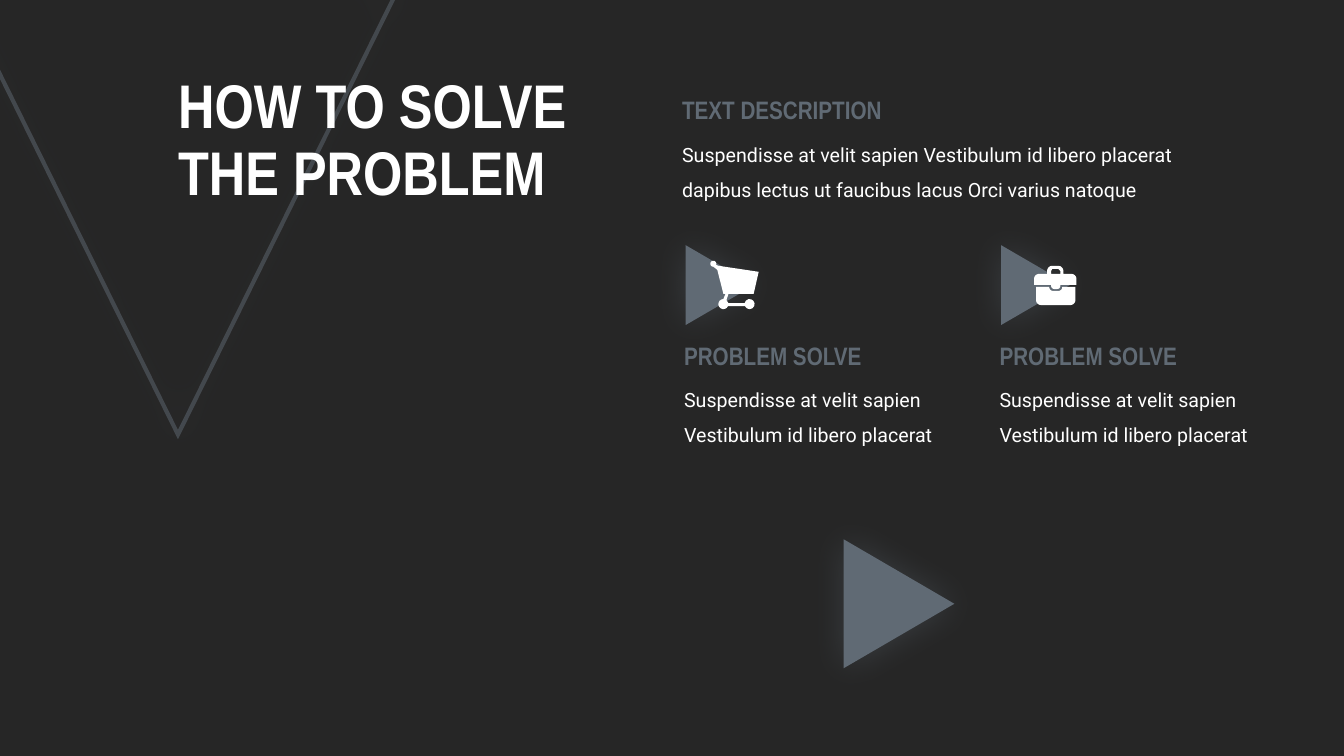
from dataclasses import dataclass
from math import cos, radians, sin

from lxml.etree import SubElement
from pptx import Presentation
from pptx.dml.color import RGBColor
from pptx.enum.shapes import MSO_SHAPE as Preset
from pptx.enum.text import MSO_ANCHOR as Anchor, MSO_AUTO_SIZE as AutoSize
from pptx.oxml.ns import qn
from pptx.util import Cm, Pt


@dataclass(frozen=True)
class Theme:
    """Colours, fonts and type sizes of the slide."""
    dark: RGBColor = RGBColor(0x26, 0x26, 0x26)
    slate: RGBColor = RGBColor(0x60, 0x6A, 0x74)
    white: RGBColor = RGBColor(0xFF, 0xFF, 0xFF)
    display: str = "Arial Narrow"
    text: str = "Roboto"
    title_size: Pt = Pt(44)
    heading_size: Pt = Pt(18)
    body_size: Pt = Pt(14)
    outline: Pt = Pt(3)
    glow: Pt = Pt(25)


THEME = Theme()
ICON_STEPS = 100
ICON_SCALE = Cm(2.54) / (100 * ICON_STEPS)


def add_text(slide, box, words, font_name, size, color, bold=False, spacing=1.0):
    """Write one paragraph in a wrapping text box and return its frame."""
    frame = slide.shapes.add_textbox(*box).text_frame
    frame.word_wrap = True
    paragraph = frame.paragraphs[0]
    paragraph.text = words
    paragraph.line_spacing = spacing
    font = paragraph.font
    font.name, font.size, font.bold = font_name, size, bold
    font.color.rgb = color
    return frame


def add_glow(shape):
    """Give the shape a soft, centred slate shadow."""
    shape.shadow.inherit = False
    effects = shape.element.spPr.find(qn("a:effectLst"))
    shadow = SubElement(effects, qn("a:outerShdw"), blurRad=str(THEME.glow), dist="0",
                        dir="0", algn="ctr", rotWithShape="0")
    tint = SubElement(shadow, qn("a:srgbClr"), val=str(THEME.slate))
    SubElement(tint, qn("a:alpha"), val="35000")


def draw_outline_triangle(slide, left, top, width, height):
    """Draw the large half-transparent triangle that points down."""
    triangle = slide.shapes.add_shape(Preset.ISOSCELES_TRIANGLE, left, top, width, height)
    triangle.rotation = 180
    triangle.fill.background()
    triangle.line.width = THEME.outline
    triangle.line.color.rgb = THEME.slate
    line = triangle.element.spPr.find(qn("a:ln"))
    SubElement(line.find(".//" + qn("a:srgbClr")), qn("a:alpha"), val="50000")
    SubElement(line, qn("a:miter"), lim="800000")
    add_glow(triangle)


def draw_arrowhead(slide, left, top, width, height):
    """Fill the box with a slate triangle that points right."""
    shift = (height - width) // 2
    arrowhead = slide.shapes.add_shape(
        Preset.ISOSCELES_TRIANGLE, left - shift, top + shift, height, width)
    arrowhead.rotation = 90
    arrowhead.fill.solid()
    arrowhead.fill.fore_color.rgb = THEME.slate
    arrowhead.line.fill.background()
    add_glow(arrowhead)


def arc(x, y, radius, start, end, steps=10):
    """Return points along an arc, with angles in degrees clockwise from the right."""
    angles = [radians(start + (end - start) * i / steps) for i in range(steps + 1)]
    return [(x + radius * cos(a), y + radius * sin(a)) for a in angles]


def draw_icon_part(shapes, left, top, *contours):
    """Draw one white outline made of closed contours."""
    first, *others = [[(x * ICON_STEPS, y * ICON_STEPS) for x, y in contour]
                      for contour in contours]
    builder = shapes.build_freeform(*first[0], scale=ICON_SCALE)
    builder.add_line_segments(first[1:])
    for contour in others:
        builder.move_to(*contour[0])
        builder.add_line_segments(contour[1:])
    part = builder.convert_to_shape(left, top)
    part.fill.solid()
    part.fill.fore_color.rgb = THEME.white
    part.line.fill.background()
    part.shadow.inherit = False


def draw_cart(slide, left, top):
    """Draw the shopping cart relative to the corner of its card."""
    cart = [(18, 42), (16, 39), (18, 33), (43, 33), (48, 11), (8, 5),
            *arc(3, 3, 3, 20, -270), (7, 9), (13, 33), (15, 33),
            *arc(13, 43, 5, 270, 25), *arc(39, 43, 5, 155, -170)]
    draw_icon_part(slide.shapes, left + Cm(0.91), top + Cm(0.39), cart)


def draw_briefcase(slide, left, top):
    """Draw the briefcase relative to the corner of its card."""
    base = [(0, 0), *arc(17, 0, 4, 180, 90), *arc(22, 0, 4, 90, 0), (39, 0),
            *arc(34, 13, 5, 0, 90), *arc(5, 13, 5, 90, 180)]
    lid = [(0, 19), (17, 19), *arc(20, 20, 3, 180, 90), *arc(23, 20, 3, 90, 0),
           (26, 19), (42, 19), *arc(37, 13, 5, 0, -90), (29, 8),
           *arc(24, 5, 5, 0, -90), *arc(18, 5, 5, -90, -180), (13, 8),
           *arc(5, 13, 5, -90, -180)]
    handle_gap = [(17, 8), (17, 5), (18, 3), (24, 3), (26, 5), (26, 8)]
    parts = slide.shapes.add_group_shape().shapes
    draw_icon_part(parts, left + Cm(1.17), top + Cm(1.05), base)
    draw_icon_part(parts, left + Cm(1.12), top + Cm(0.52), lid, handle_gap)


def draw_title(slide, left, top, width, height):
    """Write the slide title, centred vertically in its box."""
    frame = add_text(slide, (left, top, width, height), "HOW TO SOLVE\vTHE PROBLEM",
                     THEME.display, THEME.title_size, THEME.white, True, 0.9)
    frame.vertical_anchor = Anchor.MIDDLE


def draw_description(slide, left, top, width, heading, body, body_offset):
    """Write a slate heading with a white body text below it."""
    heading_frame = add_text(slide, (left, top, Cm(6.22), Cm(1.02)), heading,
                             THEME.display, THEME.heading_size, THEME.slate, True)
    body_frame = add_text(slide, (left, top + body_offset, width, Cm(1.96)), body,
                          THEME.text, THEME.body_size, THEME.white, spacing=1.5)
    for frame in (heading_frame, body_frame):
        frame.auto_size = AutoSize.SHAPE_TO_FIT_TEXT


def draw_card(slide, left, top, width, draw_icon):
    """Draw a card: arrowhead, icon, heading and body."""
    draw_arrowhead(slide, left + Cm(0.29), top, Cm(1.73), Cm(2.01))
    draw_icon(slide, left, top)
    draw_description(slide, left, top + Cm(2.28), width, "PROBLEM SOLVE",
                     "Suspendisse at velit sapien Vestibulum id libero placerat", Cm(0.89))


def main():
    """Build the slide and save it."""
    deck = Presentation()
    deck.slide_width, deck.slide_height = Cm(33.87), Cm(19.05)
    slide = deck.slides.add_slide(deck.slide_layouts[6])
    slide.background.fill.solid()
    slide.background.fill.fore_color.rgb = THEME.dark

    draw_outline_triangle(slide, Cm(-1.09), Cm(-0.33), Cm(11.15), Cm(11.28))
    draw_title(slide, Cm(4.24), Cm(1.57), Cm(14.27), Cm(4.01))
    draw_description(slide, Cm(16.94), Cm(2.24), Cm(13.03), "TEXT DESCRIPTION",
                     "Suspendisse at velit sapien Vestibulum id libero placerat "
                     "dapibus lectus ut faucibus lacus Orci varius natoque", Cm(0.94))
    for column, draw_icon in enumerate((draw_cart, draw_briefcase)):
        draw_card(slide, Cm(16.99) + column * Cm(7.95), Cm(6.18), Cm(6.83), draw_icon)
    draw_arrowhead(slide, Cm(21.26), Cm(13.59), Cm(2.79), Cm(3.25))
    deck.save("out.pptx")


if __name__ == "__main__":
    main()
